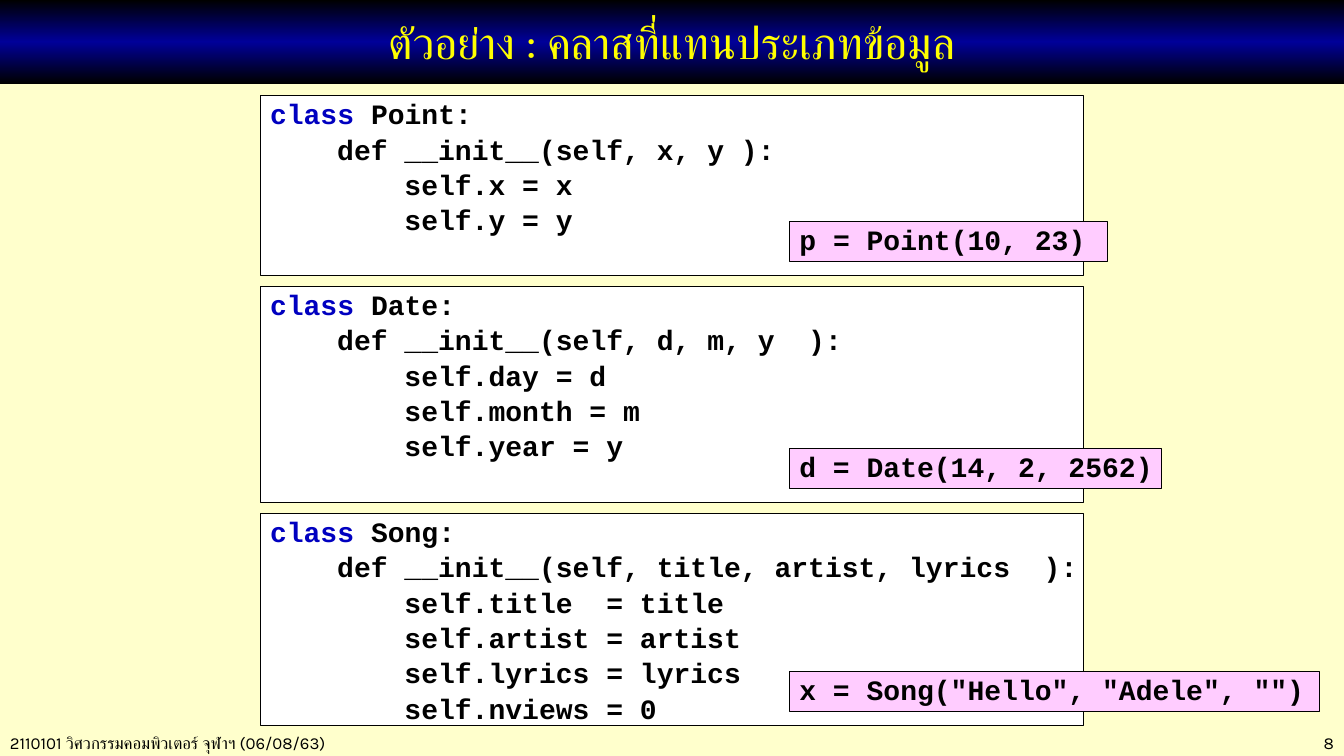
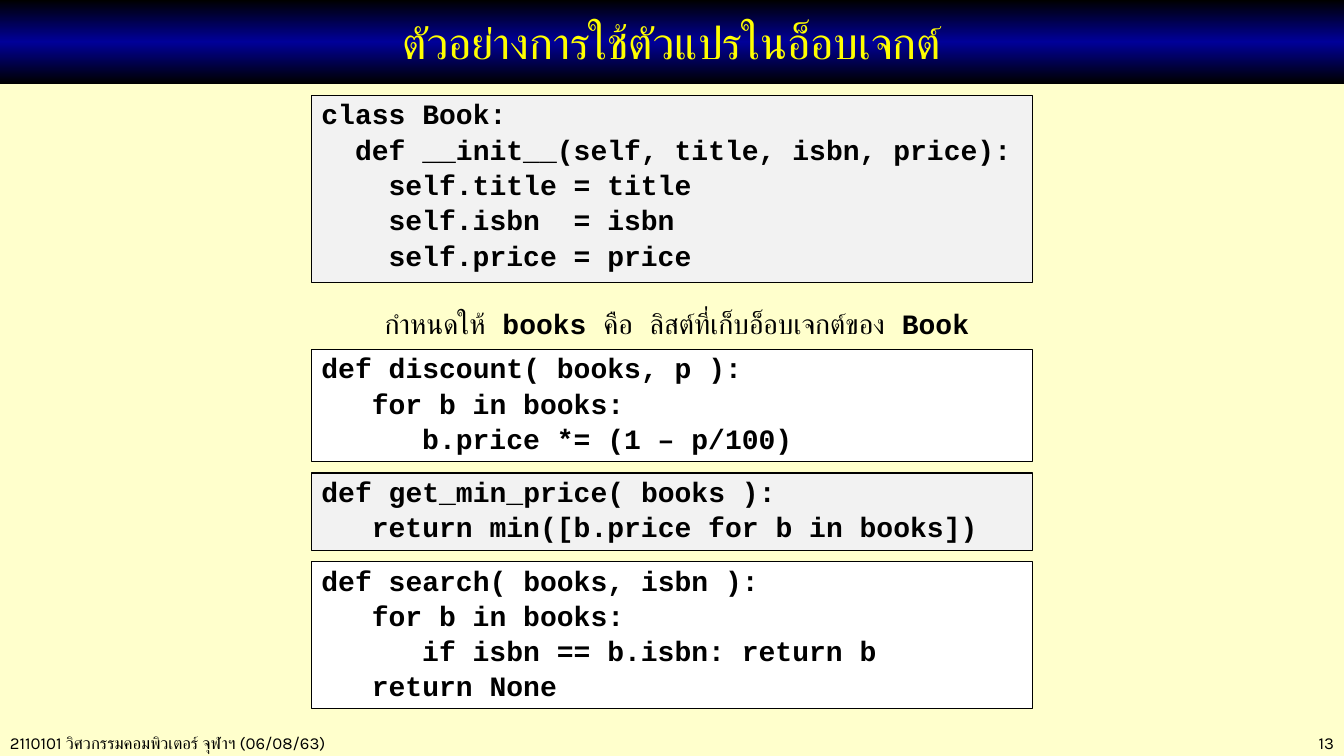
from copy import deepcopy
from dataclasses import dataclass

from pptx import Presentation
from pptx.dml.color import RGBColor
from pptx.enum.shapes import MSO_SHAPE
from pptx.enum.text import MSO_ANCHOR, PP_ALIGN
from pptx.oxml.ns import qn
from pptx.util import Inches, Pt


@dataclass(frozen=True)
class Theme:
    background: str = "FFFFCC"
    title: str = "FFFF00"
    band_edge: str = "000000"
    band_middle: str = "000099"
    ink: str = "000000"
    keyword: str = "0000C0"
    white: str = "FFFFFF"
    grey: str = "F2F2F2"
    pink: str = "FFCCFF"
    body_font: str = "Karla"
    code_font: str = "Courier New"
    title_size: int = 32
    code_size: int = 20
    footer_size: int = 12


theme = Theme()
deck = Presentation()
deck.slide_width = Inches(13.33)
deck.slide_height = Inches(7.5)
COLUMN = deck.slide_width / 100
ROW = deck.slide_height / 100

BAND_HEIGHT = 11.07
CARD_TOP = 12.67
CARD_GAP = 1.5
CALL_LEFT = 58.74
CALL_HEIGHT = 5.33
CALL_LIFT = 1.8  # rows between a call's bottom and its card's bottom
FOOTER_TOP = 96.27
FOOTER = "2110101 วิศวกรรมคอมพิวเตอร์ จุฬาฯ (06/08/63)"


def add_box(page, left, top, width, height, fill=None):
    """Add a rectangle placed in columns and rows; a filled one gets an outline."""
    box = page.shapes.add_shape(
        MSO_SHAPE.RECTANGLE,
        round(left * COLUMN), round(top * ROW),
        round(width * COLUMN), round(height * ROW),
    )
    box.shadow.inherit = False
    if fill:
        box.fill.solid()
        box.fill.fore_color.rgb = RGBColor.from_string(fill)
        box.line.color.rgb = RGBColor.from_string(theme.ink)
        box.line.width = Pt(0.75)
    else:
        box.fill.background()
        box.line.fill.background()
    box.text_frame.word_wrap = True
    box.text_frame.vertical_anchor = MSO_ANCHOR.TOP
    return box


def write(box, lines, font, size, colour=theme.ink, align=PP_ALIGN.LEFT, code=True):
    """Write lines of (text, bold, colour) spans; leading spaces become an indent."""
    frame = box.text_frame
    if code:
        frame.margin_right = 0
    for index, spans in enumerate(lines):
        para = frame.paragraphs[0] if index == 0 else frame.add_paragraph()
        para.alignment = align
        if code:
            para.line_spacing = 0.9
            para.space_before = Pt(3.6)
        for position, (text, bold, tint) in enumerate(spans):
            if position == 0:
                depth = len(text) - len(text.lstrip())
                text = text.lstrip()
                if depth:
                    character = Pt(size * 0.6)
                    para._p.get_or_add_pPr().set("marL", str(depth * character))
            span = para.add_run()
            span.text = text
            span.font.name = font
            span.font.size = Pt(size)
            span.font.bold = bold
            span.font.color.rgb = RGBColor.from_string(tint or colour)
            script_font = span.font._element.makeelement(qn("a:cs"), {"typeface": font})
            span.font._element.append(script_font)


# Each card: height, fill, code, and the call laid over it (width, text)
type_cards = [
    (23.73, theme.white, """class Point:
    def __init__(self, x, y ):
        self.x = x
        self.y = y""", (23.63, "p = Point(10, 23)")),
    (28.53, theme.white, """class Date:
    def __init__(self, d, m, y  ):
        self.day = d
        self.month = m
        self.year = y""", (27.68, "d = Date(14, 2, 2562)")),
    (28, theme.white, """class Song:
    def __init__(self, title, artist, lyrics  ):
        self.title  = title
        self.artist = artist
        self.lyrics = lyrics
        self.nviews = 0""", (39.46, 'x = Song("Hello", "Adele", "")')),
]
book_class = [
    (24.67, theme.grey, """class Book:
  def __init__(self, title, isbn, price):
    self.title = title
    self.isbn  = isbn
    self.price = price""", None),
]
book_functions = [
    (14.8, theme.white, """def discount( books, p ):
   for b in books:
      b.price *= (1 – p/100)""", None),
    (10.27, theme.grey, """def get_min_price( books ):
   return min([b.price for b in books])""", None),
    (19.33, theme.white, """def search( books, isbn ):
   for b in books:
      if isbn == b.isbn: return b
   return None""", None),
]
CAPTION_TOP, CAPTION_HEIGHT = 40.4, 5.87
caption = [
    ("กำหนดให้ ", False, None),
    ("books ", True, None),
    ("คือ ลิสต์ที่เก็บอ็อบเจกต์ของ ", False, None),
    ("Book", True, None),
]

# Each page: title, number, card width, keyword colour, caption, stacks of (top, cards)
pages = [
    ("ตัวอย่าง : คลาสที่แทนประเภทข้อมูล", "8", 61.29, theme.keyword, None,
     [(CARD_TOP, type_cards)]),
    ("ตัวอย่างการใช้ตัวแปรในอ็อบเจกต์", "13", 53.64, theme.ink, caption,
     [(CARD_TOP, book_class), (CAPTION_TOP + CAPTION_HEIGHT, book_functions)]),
]

for title, number, card_width, keyword_colour, caption_spans, stacks in pages:
    page = deck.slides.add_slide(deck.slide_layouts[6])
    page.background.fill.solid()
    page.background.fill.fore_color.rgb = RGBColor.from_string(theme.background)

    for left, width, text, align in (
        (0, 39, FOOTER, PP_ALIGN.LEFT),
        (86.2, 13.8, number, PP_ALIGN.RIGHT),
    ):
        footer = add_box(page, left, FOOTER_TOP, width, 4)
        write(footer, [[(text, False, None)]], theme.body_font, theme.footer_size,
              align=align, code=False)

    band = add_box(page, 0, 0, 100, BAND_HEIGHT)
    band.fill.gradient()
    band.fill.gradient_angle = 90
    first_stop = band.fill.gradient_stops[0]._gs
    first_stop.addnext(deepcopy(first_stop))
    for stop, share, colour in zip(
        band.fill.gradient_stops, (0, 0.5, 1),
        (theme.band_edge, theme.band_middle, theme.band_edge),
    ):
        stop.position = share
        stop.color.rgb = RGBColor.from_string(colour)
    band.text_frame.vertical_anchor = MSO_ANCHOR.MIDDLE
    write(band, [[(title, False, None)]], theme.body_font, theme.title_size,
          theme.title, PP_ALIGN.CENTER, code=False)

    card_left = (100 - card_width) / 2
    for top, cards in stacks:
        for height, fill, source, call in cards:
            card = add_box(page, card_left, top, card_width, height, fill)
            lines = []
            for line in source.split("\n"):
                if line.startswith("class"):
                    lines.append([("class", True, keyword_colour),
                                  (line.removeprefix("class"), True, None)])
                else:
                    lines.append([(line, True, None)])
            write(card, lines, theme.code_font, theme.code_size)
            if call:
                call_width, call_text = call
                call_top = top + height - CALL_LIFT - CALL_HEIGHT
                call_box = add_box(page, CALL_LEFT, call_top, call_width,
                                   CALL_HEIGHT, theme.pink)
                write(call_box, [[(call_text, True, None)]],
                      theme.code_font, theme.code_size)
            top += height + CARD_GAP

    if caption_spans:
        caption_box = add_box(page, card_left, CAPTION_TOP, card_width, CAPTION_HEIGHT)
        write(caption_box, [caption_spans], theme.code_font, theme.code_size,
              align=PP_ALIGN.CENTER)

deck.save("out.pptx")
